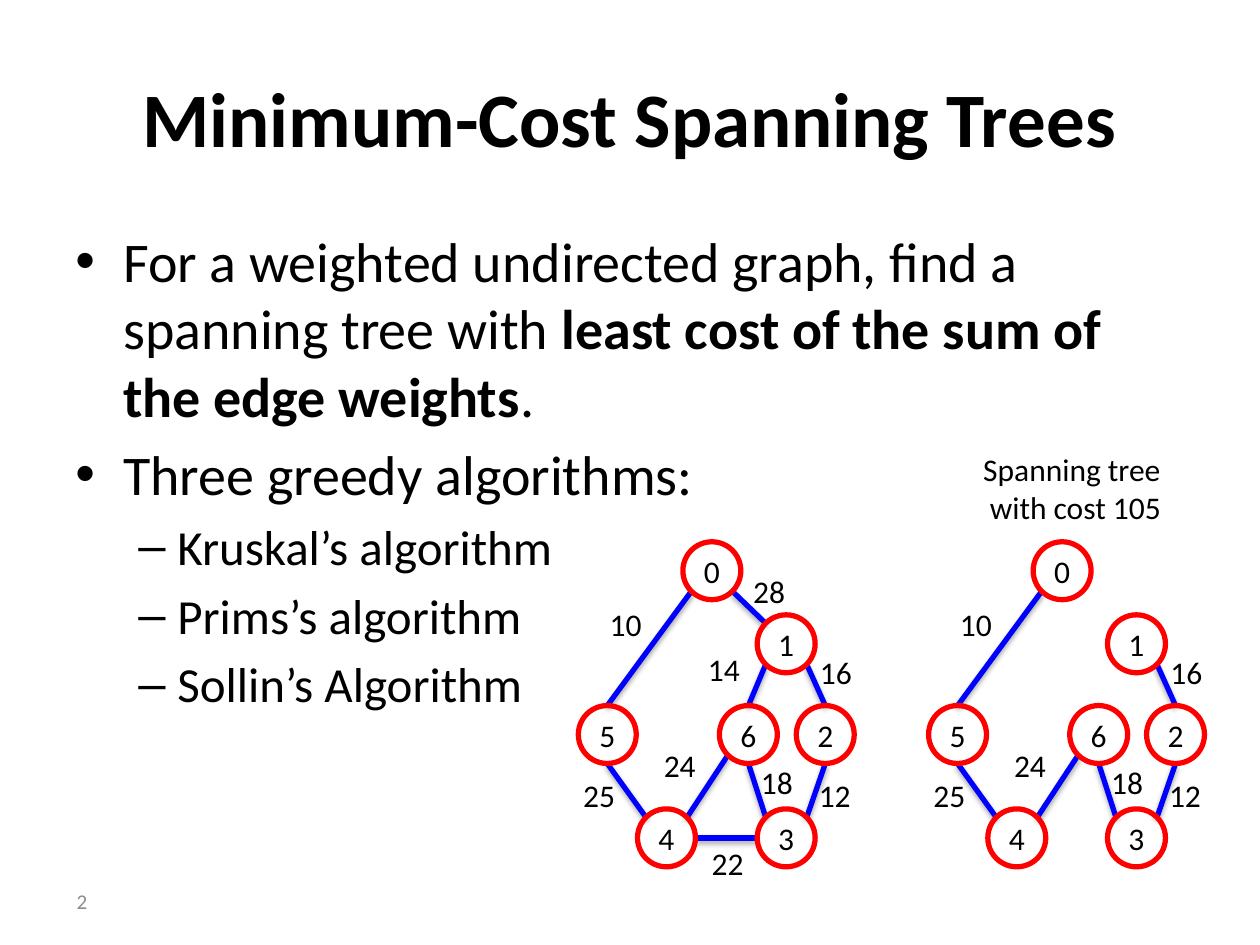
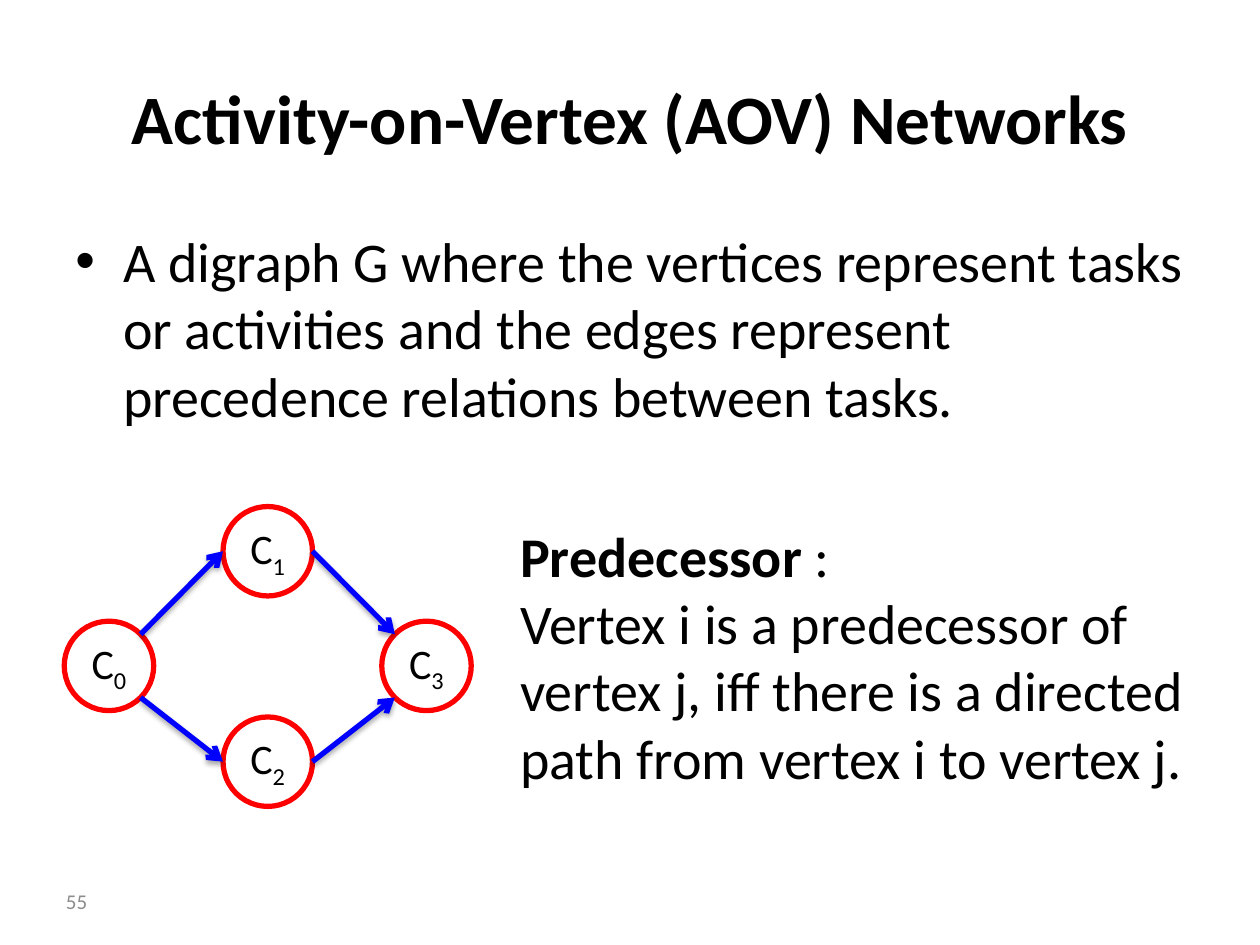
from math import sqrt
from lxml.etree import SubElement
from pptx import Presentation
from pptx.dml.color import RGBColor
from pptx.enum.shapes import MSO_CONNECTOR, MSO_SHAPE
from pptx.enum.text import MSO_ANCHOR as Anchor, PP_ALIGN as Align
from pptx.oxml.ns import qn
from pptx.util import Inches, Pt

FONT = "Calibri"
BLACK = RGBColor(0x00, 0x00, 0x00)
GRAY = RGBColor(0x8C, 0x8C, 0x8C)
RED = RGBColor(0xFF, 0x00, 0x00)
BLUE = RGBColor(0x00, 0x00, 0xFF)
LINE_WIDTH = Pt(3)

TITLE_BOX = (0.5, 0.3, 9, 1.25)
BODY_BOX = (0.5, 1.75, 9, 4.95)
NUMBER_BOX = (0, 6.95, 0.79, 0.4)
LEVELS = [
    {"size": 32, "indent": 0.38, "hang": 0.38, "bullet": "•"},
    {"size": 28, "indent": 0.81, "hang": 0.31, "bullet": "–"},
]

SPANNING = {
    "title": ("Minimum-Cost Spanning Trees", 44),
    "number": "2",
    "body": [
        (0, [("For a weighted undirected graph, find a spanning tree with ", False),
             ("least cost of the sum of the edge weights", True),
             (".", False)]),
        (0, [("Three greedy algorithms:", False)]),
        (1, [("Kruskal’s algorithm", False)]),
        (1, [("Prims’s algorithm", False)]),
        (1, [("Sollin’s Algorithm", False)]),
    ],
}
AOV = {
    "title": ("Activity-on-Vertex (AOV) Networks", 39.6),
    "number": "55",
    "body": [
        (0, [("A digraph G where the vertices represent tasks or activities and the "
              "edges represent precedence relations between tasks.", False)]),
    ],
}

VERTEX_SIZE = 0.46
VERTICES = {
    "0": (5.42, 4.3), "1": (6.01, 4.88), "2": (6.32, 5.6), "3": (6.01, 6.42),
    "4": (5.06, 6.42), "5": (4.59, 5.6), "6": (5.71, 5.6),
}
EDGES = [
    ("1", "NW", "0", "SE", "28", (5.88, 4.49)),
    ("2", "N", "1", "SE", "16", (6.41, 5.13)),
    ("1", "SW", "6", "N", "14", (5.52, 5.11)),
    ("5", "N", "0", "SW", "10", (4.74, 4.75)),
    ("2", "S", "3", "NE", "12", (6.4, 6.11)),
    ("3", "NW", "6", "S", "18", (5.94, 6.01)),
    ("6", "SW", "4", "NE", "24", (5.17, 5.87)),
    ("5", "S", "4", "NW", "25", (4.53, 6.11)),
    ("3", "W", "4", "E", "22", (5.55, 6.65)),
]
TREE_WEIGHTS = {"10", "12", "16", "18", "24", "25"}
TREE_SHIFT = 2.78
TREE_CAPTION = "Spanning tree \vwith cost 105"

TASK_SIZE = 0.71
TASKS = {"0": (0.51, 4.93), "1": (1.77, 4.02), "2": (1.77, 5.69), "3": (3.03, 4.93)}
PRECEDENCES = [
    ("0", "NE", "1", "W"), ("1", "E", "3", "NW"),
    ("0", "SE", "2", "W"), ("2", "E", "3", "SW"),
]
PREDECESSOR = [
    [("Predecessor", True), (" :", False)],
    [("Vertex i is a predecessor of vertex j, iff there is a directed path "
      "from vertex i to vertex j.", False)],
]


def style(paragraph, size, color=BLACK, align=Align.LEFT, bold=False):
    paragraph.alignment = align
    font = paragraph.font
    font.name, font.size, font.bold = FONT, Pt(size), bold
    font.color.rgb = color


def add_runs(paragraph, runs):
    for words, bold in runs:
        run = paragraph.add_run()
        run.text = words
        if bold:
            run.font.bold = True


def paragraphs_of(frame, count):
    return [frame.paragraphs[0]] + [frame.add_paragraph() for _ in range(count - 1)]


def add_frame(slide, box, wrap=True, anchor=Anchor.TOP):
    frame = slide.shapes.add_textbox(*map(Inches, box)).text_frame
    frame.word_wrap = wrap
    frame.vertical_anchor = anchor
    return frame


def add_label(slide, box, words, size, wrap=False, anchor=Anchor.TOP, **look):
    paragraph = add_frame(slide, box, wrap, anchor).paragraphs[0]
    paragraph.text = words
    style(paragraph, size, **look)


def add_bullet(paragraph, level):
    props = paragraph._p.get_or_add_pPr()
    props.set("marL", str(Inches(level["indent"])))
    props.set("indent", str(-Inches(level["hang"])))
    before = SubElement(props, qn("a:spcBef"))
    SubElement(before, qn("a:spcPct"), val="20000")
    SubElement(props, qn("a:buFont"), typeface="Arial")
    SubElement(props, qn("a:buChar"), char=level["bullet"])


def add_slide(deck, content):
    slide = deck.slides.add_slide(deck.slide_layouts[6])
    title, size = content["title"]
    add_label(slide, TITLE_BOX, title, size, wrap=True, anchor=Anchor.MIDDLE,
              align=Align.CENTER, bold=True)
    body = content["body"]
    frame = add_frame(slide, BODY_BOX)
    for paragraph, (depth, runs) in zip(paragraphs_of(frame, len(body)), body):
        level = LEVELS[depth]
        add_bullet(paragraph, level)
        style(paragraph, level["size"])
        add_runs(paragraph, runs)
    add_label(slide, NUMBER_BOX, content["number"], 12, anchor=Anchor.MIDDLE, wrap=True,
              color=GRAY, align=Align.RIGHT)
    return slide


def rim_point(corner, diameter, compass):
    across = ("E" in compass) - ("W" in compass)
    down = ("S" in compass) - ("N" in compass)
    reach = diameter / 2 / sqrt(len(compass))
    return [Inches(edge + diameter / 2 + reach * step)
            for edge, step in zip(corner, (across, down))]


def add_edge(slide, start, end, arrow=False):
    edge = slide.shapes.add_connector(MSO_CONNECTOR.STRAIGHT, *start, *end)
    edge.line.color.rgb = BLUE
    edge.line.width = LINE_WIDTH
    if arrow:
        SubElement(edge.line._get_or_add_ln(), qn("a:tailEnd"), type="arrow")
    effects = SubElement(edge._element.spPr, qn("a:effectLst"))
    shadow = SubElement(effects, qn("a:outerShdw"), blurRad=str(Pt(3.1)),
                        dist=str(Pt(1.8)), dir="5400000", rotWithShape="0")
    black = SubElement(shadow, qn("a:srgbClr"), val=str(BLACK))
    SubElement(black, qn("a:alpha"), val="35000")


def add_vertex(slide, corner, diameter, name, size, subscript=""):
    vertex = slide.shapes.add_shape(MSO_SHAPE.OVAL, *map(Inches, (*corner, diameter, diameter)))
    vertex.shadow.inherit = False
    vertex.fill.background()
    vertex.line.color.rgb = RED
    vertex.line.width = LINE_WIDTH
    frame = vertex.text_frame
    frame.word_wrap = False
    frame.vertical_anchor = Anchor.MIDDLE
    paragraph = frame.paragraphs[0]
    style(paragraph, size, align=Align.CENTER)
    add_runs(paragraph, [(name, False)])
    if subscript:
        index = paragraph.add_run()
        index.text = subscript
        index.font._element.set("baseline", "-25000")


def add_weighted_graph(slide, edges, shift=0):
    corners = {name: (x + shift, y) for name, (x, y) in VERTICES.items()}
    for start, leave, end, arrive, _, _ in edges:
        add_edge(slide, rim_point(corners[start], VERTEX_SIZE, leave),
                 rim_point(corners[end], VERTEX_SIZE, arrive))
    for name, corner in corners.items():
        add_vertex(slide, corner, VERTEX_SIZE, name, 18)
    for *_, weight, (x, y) in edges:
        add_label(slide, (x + shift, y, 0.46, 0.4), weight, 18)


def build_spanning(deck):
    slide = add_slide(deck, SPANNING)
    add_weighted_graph(slide, EDGES)
    add_weighted_graph(slide, [edge for edge in EDGES if edge[4] in TREE_WEIGHTS], TREE_SHIFT)
    add_label(slide, (7.69, 3.52, 1.69, 0.71), TREE_CAPTION, 18, align=Align.CENTER)


def build_aov(deck):
    slide = add_slide(deck, AOV)
    for index, corner in TASKS.items():
        add_vertex(slide, corner, TASK_SIZE, "C", 24, index)
    for start, leave, end, arrive in PRECEDENCES:
        add_edge(slide, rim_point(TASKS[start], TASK_SIZE, leave),
                 rim_point(TASKS[end], TASK_SIZE, arrive), arrow=True)
    frame = add_frame(slide, (4.03, 4.09, 5.77, 2.26))
    for paragraph, runs in zip(paragraphs_of(frame, len(PREDECESSOR)), PREDECESSOR):
        style(paragraph, 32)
        add_runs(paragraph, runs)


def main():
    deck = Presentation()
    deck.slide_width, deck.slide_height = Inches(10), Inches(7.5)
    build_spanning(deck)
    build_aov(deck)
    deck.save("out.pptx")


if __name__ == "__main__":
    main()
